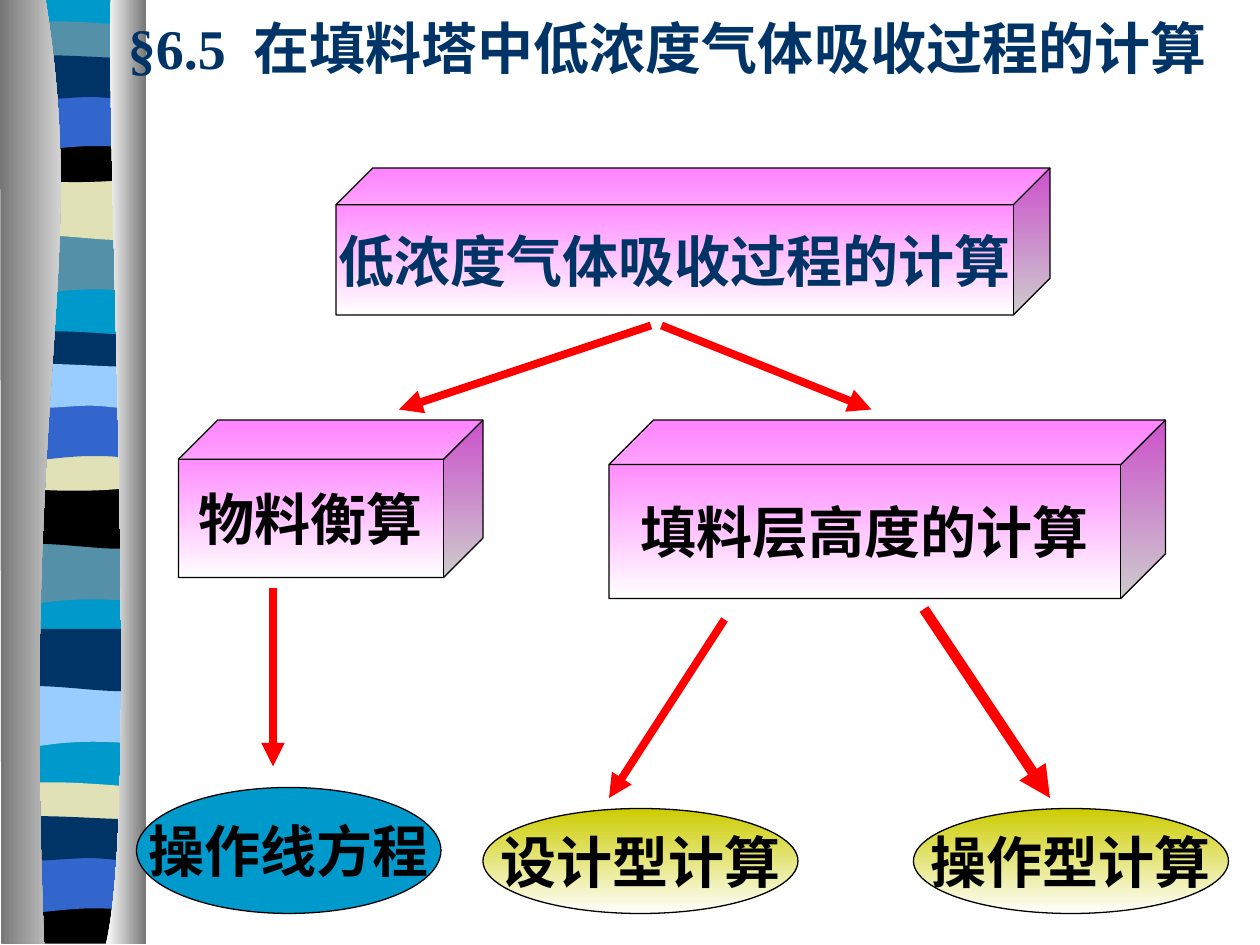
from dataclasses import dataclass

from lxml import etree
from pptx import Presentation
from pptx.dml.color import RGBColor
from pptx.enum.shapes import MSO_CONNECTOR, MSO_SHAPE
from pptx.enum.text import MSO_ANCHOR, PP_ALIGN
from pptx.oxml.ns import qn
from pptx.util import Inches, Pt

CUBE, OVAL = MSO_SHAPE.CUBE, MSO_SHAPE.OVAL
STRAIGHT = MSO_CONNECTOR.STRAIGHT
MIDDLE = MSO_ANCHOR.MIDDLE
CENTER = PP_ALIGN.CENTER


@dataclass(frozen=True)
class Theme:
    navy: str = "003366"
    black: str = "000000"
    cyan: str = "0099CC"
    teal: str = "5490A8"
    sand: str = "E1E1B7"
    blue: str = "3366CC"
    sky: str = "99CCFF"
    red: str = "FF0000"
    pink: tuple = ("FF66FF", "FFFFFF")
    olive: tuple = ("CCCC00", "FFFFFF")
    shade: tuple = ("767676", "FFFFFF")
    light: tuple = ("FFFFFF", "767676")
    serif: str = "Times New Roman"
    sans: str = "Arial"
    size: float = 32
    outline: float = 0.75


T = Theme()

# Band outlines: a start point, then (x, y) lines or three-point Bezier curves.
W = 1.08
BANDS = {
    "swell": [(W, 0), ((W, 0), (W, 0.47), (W, 0.47)),
              ((0.33, 0.39), (0.18, 0.55), (0, 0.47)), (0, 0)],
    "dip": [(W, 0), (W, 0.47), ((0.9, 0.55), (0.33, 0.41), (0, 0.47)), (0, 0)],
    "lens": [(W, 0.05), (W, 0.29), ((0.9, 0.33), (0.18, 0.33), (0, 0.29)), (0, 0.05),
             ((0.06, 0), (0.23, 0.01), (0.41, 0.01)),
             ((0.59, 0.01), (0.94, 0.04), (W, 0.05))],
    "sag": [(W, 0), (W, 0.32), ((0.9, 0.38), (0.18, 0.38), (0, 0.32)), (0, 0),
            ((0.66, 0.05), (0.85, 0), (W, 0))],
    "arch": [(W, 0), ((W, 0), (W, 0.47), (W, 0.47)),
             ((0.91, 0.42), (0.84, 0.42), (0.66, 0.42)),
             ((0.48, 0.42), (0.16, 0.47), (0, 0.47)), (0, 0)],
    "drift": [(W, 0.05), (W, 0.36), ((1.01, 0.41), (0.84, 0.36), (0.66, 0.36)),
              ((0.48, 0.36), (0.11, 0.41), (0, 0.36)), (0, 0.05),
              ((0.15, 0), (0.73, 0.05), (0.91, 0.05)),
              ((1.1, 0.05), (1.04, 0.05), (W, 0.05))],
    "foot": [(W, 0), (W, 0.37), (0.01, 0.37), (0, 0),
             ((0.66, 0.05), (0.85, 0), (W, 0))],
    "base": [(W, 0), (W, 7.48), (0, 7.48), (0, 0)],
}
# Outline, left, top, colour, from back to front.
RIBBON = [
    ("base", 0.06, -0.01, T.cyan),
    ("swell", 0.06, 1.85, T.teal), ("dip", 0.06, 1.41, T.sand),
    ("lens", 0.06, 0.16, T.teal), ("sag", 0.06, 1.08, T.black),
    ("arch", 0.06, 0.74, T.blue), ("drift", 0.06, 0.41, T.navy),
    ("swell", 0.05, 4.31, T.teal), ("dip", 0.05, 3.86, T.black),
    ("lens", 0.05, 2.62, T.navy), ("sag", 0.05, 3.53, T.sand),
    ("arch", 0.05, 3.2, T.blue), ("drift", 0.05, 2.86, T.sky),
    ("swell", 0.06, 5.44, T.sky), ("dip", 0.06, 4.99, T.navy),
    ("lens", 0.05, 6.2, T.sand), ("foot", 0.05, 7.12, T.black),
    ("arch", 0.05, 6.79, T.blue), ("drift", 0.05, 6.45, T.navy),
]
EDGES = [
    ([(0.36, -0.01), ((0.71, 2.16), (0.17, 2.96), (0.35, 7.49)), (0.01, 7.49),
      (0, -0.01)], T.shade),
    ([(0.88, -0.01), ((0.84, 1.25), (1.11, 6.46), (0.84, 7.49)), (1.16, 7.49),
      (1.16, 0)], T.light),
]
# The diagram sits on a grid of twelfths of an inch.
TITLE_BOX = (11, 0, 109, 9)
# Preset, box, fill, text, font, text colour.
NODES = [
    (CUBE, (32, 16, 68, 14), T.pink, "低浓度气体吸收过程的计算", T.serif, T.navy),
    (CUBE, (17, 40, 29, 15), T.pink, "物料衡算", T.sans, T.black),
    (CUBE, (58, 40, 53, 17), T.pink, "填料层高度的计算", T.sans, T.black),
    (OVAL, (46, 77, 30, 10), T.olive, "设计型计算", T.sans, T.black),
    (OVAL, (87, 77, 30, 10), T.olive, "操作型计算", T.sans, T.black),
]
EQUATION = (OVAL, (13, 75, 29, 12), T.cyan, "操作线方程", T.serif, T.black)
# Start and end, width.
ARROWS = [
    ((69, 59, 58, 76), 4.5),
    ((88, 58, 100, 76), 6),
    ((62, 31, 38, 39), 4.5),
    ((63, 31, 83, 39), 4.5),
    ((26, 56, 26, 73), 4.5),
]


def grid(cells):
    return [Inches(cell / 12) for cell in cells]


def rgb(color):
    return RGBColor.from_string(color)


def set_fill(sp, fill, angle=270):
    """Fill with one colour, or with a linear gradient for a pair of colours."""
    if isinstance(fill, str):
        sp.fill.solid()
        sp.fill.fore_color.rgb = rgb(fill)
        return
    sp.fill.gradient()
    sp.fill.gradient_angle = angle
    for stop, color, position in zip(sp.fill.gradient_stops, fill, (0, 1)):
        stop.color.rgb = rgb(color)
        stop.position = position


def add_outline(shapes, outline, left, top, fill):
    """Draw the control points as lines, then join each curve's three into one Bezier."""
    parts = [part if isinstance(part[0], tuple) else (part,) for part in outline]
    points = [(Inches(left + x), Inches(top + y)) for part in parts for x, y in part]
    builder = shapes.build_freeform(*points[0])
    builder.add_line_segments(points[1:], close=True)
    sp = builder.convert_to_shape()
    segments = iter(list(sp._element.iter(qn("a:lnTo"))))
    for part in parts[1:]:
        first = next(segments)
        if len(part) == 3:
            first.tag = qn("a:cubicBezTo")
            for _ in range(2):
                extra = next(segments)
                first.append(extra[0])
                extra.getparent().remove(extra)
    sp.shadow.inherit = False
    set_fill(sp, fill, angle=0)
    sp.line.fill.background()


def add_ribbon(slide):
    shapes = slide.shapes.add_group_shape().shapes
    for kind, left, top, color in RIBBON:
        add_outline(shapes, BANDS[kind], left, top, color)
    for outline, shade in EDGES:
        add_outline(shapes, outline, 0, 0, shade)


def write(p, text, font, color):
    r = p.add_run()
    r.text = text
    for name, value in {"size": Pt(T.size), "name": font, "bold": True}.items():
        setattr(r.font, name, value)
    r.font.color.rgb = rgb(color)


def add_title(slide, box, text):
    tf = slide.shapes.add_textbox(*grid(box)).text_frame
    tf.word_wrap = True
    tf.vertical_anchor = MIDDLE
    p = tf.paragraphs[0]
    tabs = etree.SubElement(p._p.get_or_add_pPr(), qn("a:tabLst"))
    etree.SubElement(tabs, qn("a:tab"), pos=str(Inches(1)), algn="l")
    write(p, text, T.serif, T.navy)


def add_node(slide, preset, box, fill, text, font, color):
    sp = slide.shapes.add_shape(preset, *grid(box))
    sp.shadow.inherit = False
    set_fill(sp, fill)
    sp.line.color.rgb = rgb(T.black)
    sp.line.width = Pt(T.outline)
    tf = sp.text_frame
    tf.word_wrap = False
    tf.vertical_anchor = MIDDLE
    p = tf.paragraphs[0]
    p.alignment = CENTER
    write(p, text, font, color)


def add_arrow(slide, ends, width):
    arrow = slide.shapes.add_connector(STRAIGHT, *grid(ends))
    arrow.line.color.rgb = rgb(T.red)
    arrow.line.width = Pt(width)
    properties = arrow._element.spPr
    etree.SubElement(properties.find(qn("a:ln")), qn("a:tailEnd"), type="triangle")
    etree.SubElement(properties, qn("a:effectLst"))


def main():
    prs = Presentation()
    prs.slide_width, prs.slide_height = Inches(10), Inches(7.5)
    slide = prs.slides.add_slide(prs.slide_layouts[6])
    add_ribbon(slide)
    add_title(slide, TITLE_BOX, "§6.5\t在填料塔中低浓度气体吸收过程的计算")
    for node in NODES:
        add_node(slide, *node)
    for arrow in ARROWS:
        add_arrow(slide, *arrow)
    add_node(slide, *EQUATION)
    prs.save("out.pptx")


if __name__ == "__main__":
    main()
